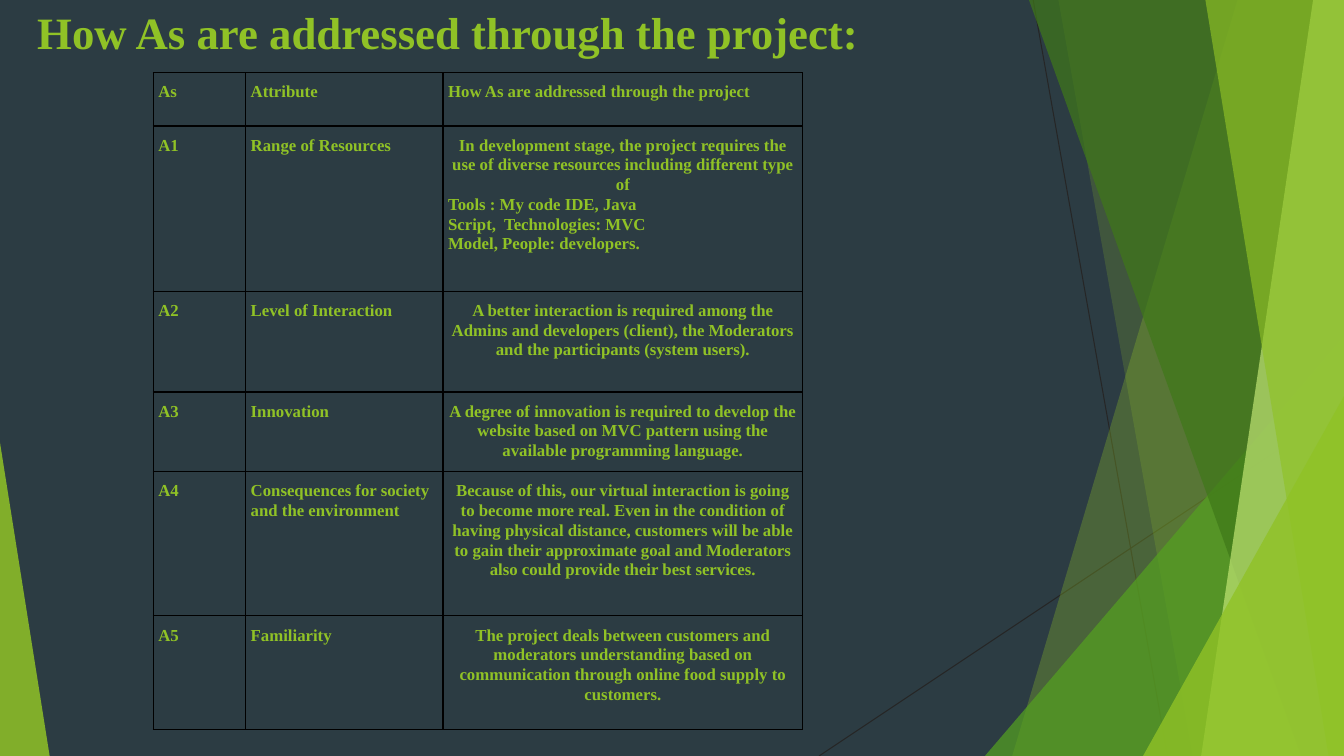
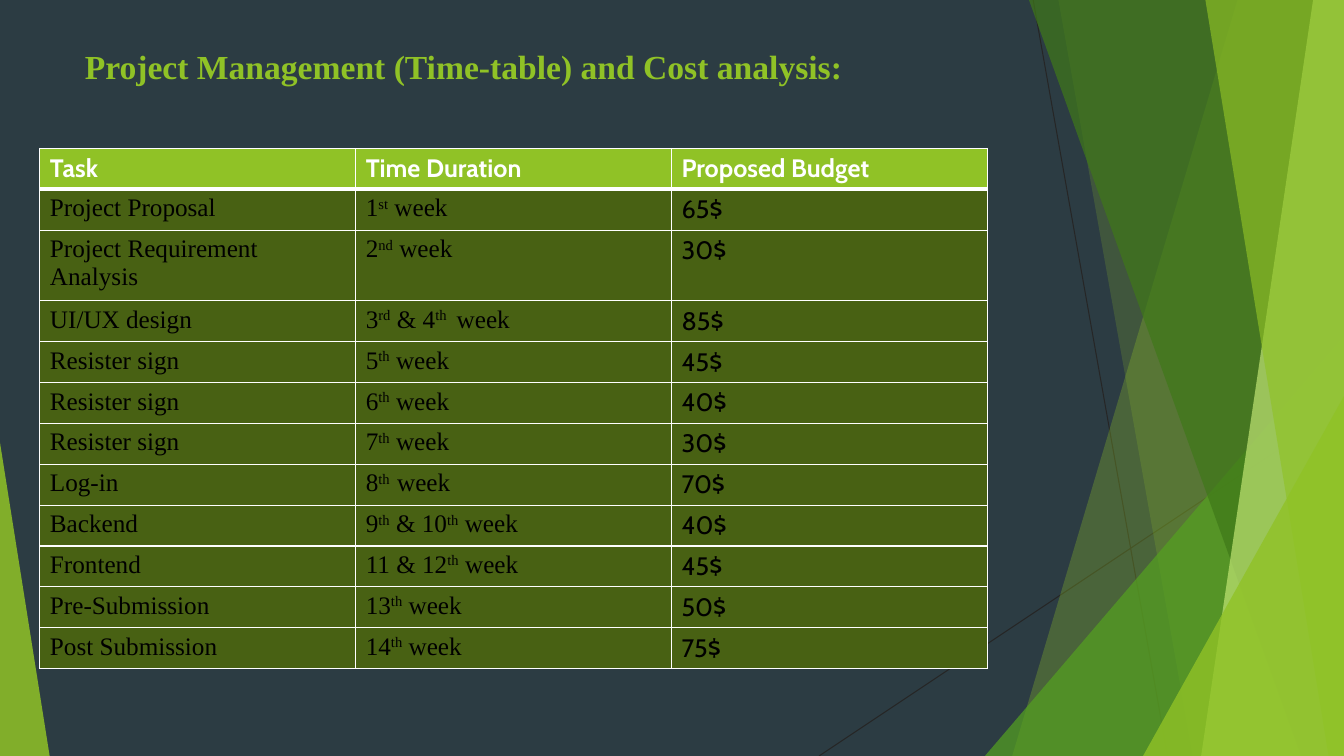
"""Build two project slides: attribute table, and timetable with costs."""
from lxml import etree
from pptx import Presentation
from pptx import util as u
from pptx.dml import color
from pptx.enum import shapes, text
from pptx.oxml import ns

Pt = u.Pt
WIDTH, HEIGHT = 960, 540
SERIF, SANS = "Times New Roman", "Cabin"
LIME, OLIVE, SLATE = "90C226", "486113", "2C3C43"
BLACK, WHITE, GRAPHITE = "000000", "FFFFFF", "262626"
LEFT, CENTER = text.PP_ALIGN.LEFT, text.PP_ALIGN.CENTER

ATTRIBUTES = [
    ("As", "Attribute", "How As are addressed through the project"),
    ("A1", "Range of Resources",
     "In development stage, the project requires the use of diverse resources "
     "including different type of\n"
     "Tools : My code IDE, Java\vScript,  Technologies: MVC\vModel, People: developers."),
    ("A2", "Level of Interaction",
     "A better interaction is required among the Admins and developers (client), "
     "the Moderators and the participants (system users)."),
    ("A3", "Innovation",
     "A degree of innovation is required to develop the website based on MVC "
     "pattern using the available programming language."),
    ("A4", "Consequences for society and the environment",
     "Because of this, our virtual interaction is going to become more real. "
     "Even in the condition of having physical distance, customers will be able "
     "to gain their approximate goal and Moderators also could provide their "
     "best services."),
    ("A5", "Familiarity",
     "The project deals between customers and moderators understanding based on "
     "communication through online food supply to customers."),
]

SCHEDULE = [
    ("Task", "Time Duration", "Proposed Budget"),
    ("Project Proposal", "1^st^ week", "65$"),
    ("Project Requirement Analysis", "2^nd^ week", "30$"),
    ("UI/UX design", "3^rd^ & 4^th ^ week", "85$"),
    ("Resister sign", "5^th^ week", "45$"),
    ("Resister sign", "6^th^ week", "40$"),
    ("Resister sign", "7^th^ week", "30$"),
    ("Log-in", "8^th  ^week", "70$"),
    ("Backend", "9^th^ & 10^th^ week", "40$"),
    ("Frontend", "11 & 12^th^ week", "45$"),
    ("Pre-Submission", "13^th^ week", "50$"),
    ("Post Submission", "14^th^ week", "75$"),
]


def rgb(code):
    """Turn a hex string into a colour."""
    return color.RGBColor.from_string(code)


def write(frame, string, font=SERIF, size=12, ink=LIME, bold=False, align=LEFT, spacing=1.0):
    """Write text: align applies to the first paragraph, carets enclose superscripts."""
    for row, line in enumerate(string.split("\n")):
        para = frame.add_paragraph() if row else frame.paragraphs[0]
        para.alignment = LEFT if row else align
        para.line_spacing = spacing
        for part, piece in enumerate(line.split("\v")):
            if part:
                para.add_line_break()
            for index, words in enumerate(piece.split("^")):
                span = para.add_run()
                span.text = words
                span.font.name, span.font.size, span.font.bold = font, Pt(size), bold
                span.font.color.rgb = rgb(ink)
                if index % 2:
                    span._r.get_or_add_rPr().set("baseline", "30000")


def paint(shape, fill, opacity):
    """Give a shape a flat translucent fill and no outline."""
    shape.shadow.inherit = False
    shape.fill.solid()
    shape.fill.fore_color.rgb = rgb(fill)
    shape.line.fill.background()
    code = shape.element.spPr.find(".//" + ns.qn("a:srgbClr"))
    etree.SubElement(code, ns.qn("a:alpha")).set("val", str(opacity * 1000))
    return shape


def add_line(page, start, end):
    """Draw a thin dark line."""
    line = page.shapes.add_connector(
        shapes.MSO_CONNECTOR.STRAIGHT, *[Pt(value) for value in start + end])
    line.line.color.rgb = rgb(GRAPHITE)
    line.line.width = Pt(0.75)
    etree.SubElement(line.element.spPr, ns.qn("a:effectLst"))
    return line


def add_band(page, top, bottom, fill, opacity):
    """Draw a full-height band from a slanted left edge to the right side."""
    builder = page.shapes.build_freeform(Pt(top), 0)
    corners = [(WIDTH, 0), (WIDTH, HEIGHT), (bottom, HEIGHT)]
    builder.add_line_segments([(Pt(x), Pt(y)) for x, y in corners])
    return paint(builder.convert_to_shape(), fill, opacity)


def add_wedge(page, left, top, width, apex, fill, opacity):
    """Draw a triangle that stands on the bottom edge."""
    wedge = page.shapes.add_shape(
        shapes.MSO_SHAPE.ISOSCELES_TRIANGLE, Pt(left), Pt(top), Pt(width), Pt(HEIGHT - top))
    wedge.adjustments[0] = apex
    return paint(wedge, fill, opacity)


def decorate(layout, page):
    """Draw the shared backdrop and hand it over to the layout."""
    layout.background.fill.solid()
    layout.background.fill.fore_color.rgb = rgb(SLATE)
    for holder in list(layout.placeholders):
        holder.element.getparent().remove(holder.element)
    backdrop = [
        add_line(page, (738, 0), (834, HEIGHT)),
        add_line(page, (WIDTH, 290), (585, HEIGHT)),
        add_band(page, 884, 723, LIME, 30),
        add_band(page, 756, 852, LIME, 20),
        add_wedge(page, 703.5, 240, 256.5, 1, "54A021", 72),
        add_band(page, 735, 929.5, "3F7819", 70),
        add_band(page, 938, 858, "C0E474", 70),
        add_band(page, 861, 949, LIME, 65),
        add_wedge(page, 816.5, 283, 143.5, 1, LIME, 80),
        add_wedge(page, 0, 316, 35.5, 0, LIME, 85),
    ]
    for shape in backdrop:
        layout.shapes.element.append(shape.element)


def add_title(page, string, left, top, size):
    """Place the slide title."""
    box = page.shapes.add_textbox(Pt(left), Pt(top), Pt(677), Pt(104))
    box.text_frame.word_wrap = True
    write(box.text_frame, string, size=size, bold=True)


def set_borders(cell, ink, **widths):
    """Draw the cell borders, with widths by side."""
    props = cell._tc.get_or_add_tcPr()
    for index, side in enumerate("LRTB"):
        line = etree.Element(ns.qn("a:ln" + side), w=str(Pt(widths.get(side, 1))))
        fill = etree.SubElement(line, ns.qn("a:solidFill"))
        etree.SubElement(fill, ns.qn("a:srgbClr"), val=ink)
        props.insert(index, line)


def add_grid(page, rows, left, top, widths, heights):
    """Add an unbanded table and yield each cell with its place and text."""
    frame = page.shapes.add_table(
        len(rows), len(widths), Pt(left), Pt(top), Pt(sum(widths)), Pt(sum(heights)))
    table = frame.table
    table.horz_banding = False
    for column, width in zip(table.columns, widths):
        column.width = Pt(width)
    for line, height in zip(table.rows, heights):
        line.height = Pt(height)
    for r, row in enumerate(rows):
        for c, string in enumerate(row):
            yield table.cell(r, c), r, c, string


def add_attributes(page):
    """Fill the outlined attribute table."""
    heights = [38, 118, 72, 57, 103, 81]
    for cell, r, c, string in add_grid(page, ATTRIBUTES, 109.5, 52, [66, 141, 257], heights):
        cell.fill.background()
        cell.margin_left = cell.margin_right = cell.margin_bottom = Pt(3.6)
        cell.margin_top = Pt(6.5)
        set_borders(cell, BLACK)
        align = CENTER if r and c == 2 else LEFT
        write(cell.text_frame, string, bold=True, align=align, spacing=1.06)


def add_schedule(page):
    """Fill the timetable with its budget column."""
    heights = [29.2] * len(SCHEDULE)
    for cell, r, c, string in add_grid(page, SCHEDULE, 28.5, 106, [225.6] * 3, heights):
        header = r == 0
        cell.fill.solid()
        cell.fill.fore_color.rgb = rgb(LIME if header else OLIVE)
        set_borders(cell, WHITE, B=3 if header else 1, T=3 if r == 1 else 1)
        write(cell.text_frame, string, font=SANS if header or c == 2 else SERIF,
              size=18, ink=WHITE if header else BLACK, bold=header)


def main():
    """Build and save the deck."""
    deck = Presentation()
    deck.slide_width, deck.slide_height = Pt(WIDTH), Pt(HEIGHT)
    layout = deck.slide_layouts[6]

    page = deck.slides.add_slide(layout)
    decorate(layout, page)
    add_title(page, "How As are addressed through the project:", 19.5, -0.5, 32)
    add_attributes(page)

    page = deck.slides.add_slide(layout)
    add_title(page, "Project Management (Time-table) and Cost analysis:", 53.5, 29.5, 24)
    add_schedule(page)

    deck.save("out.pptx")


main()
